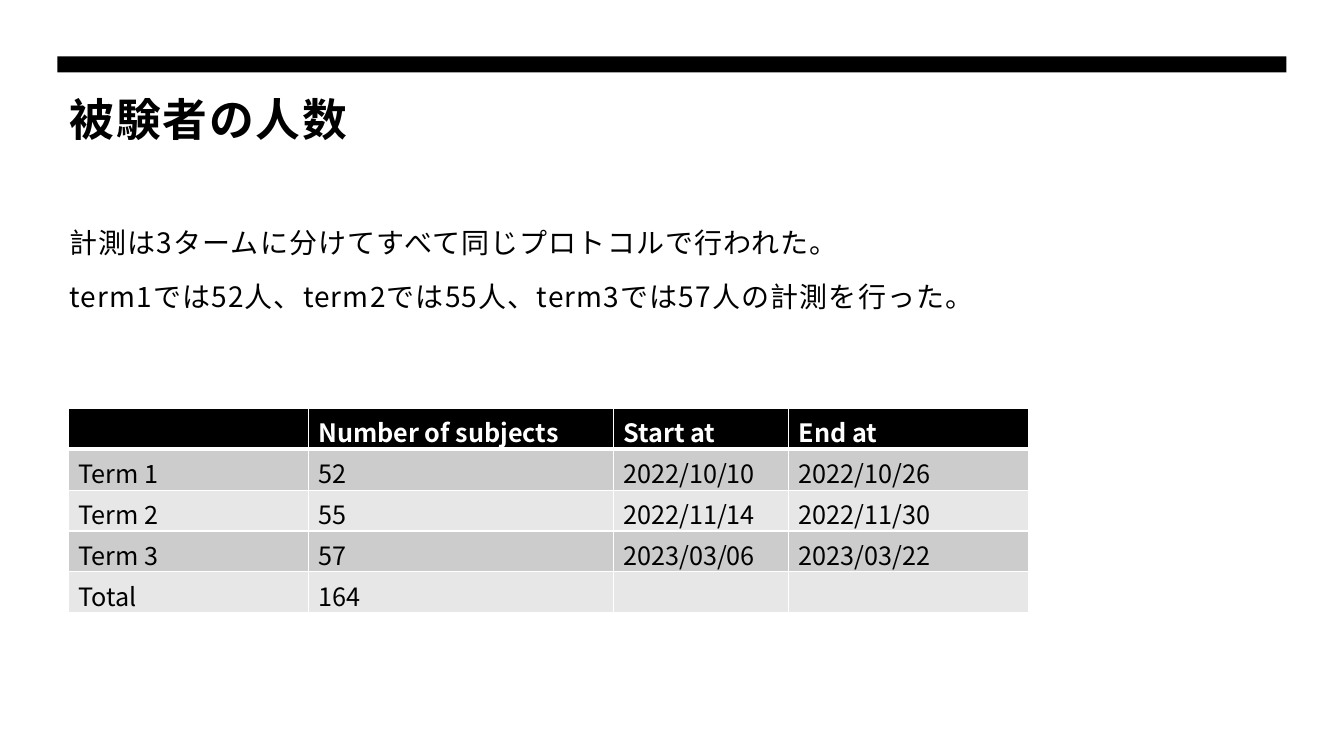
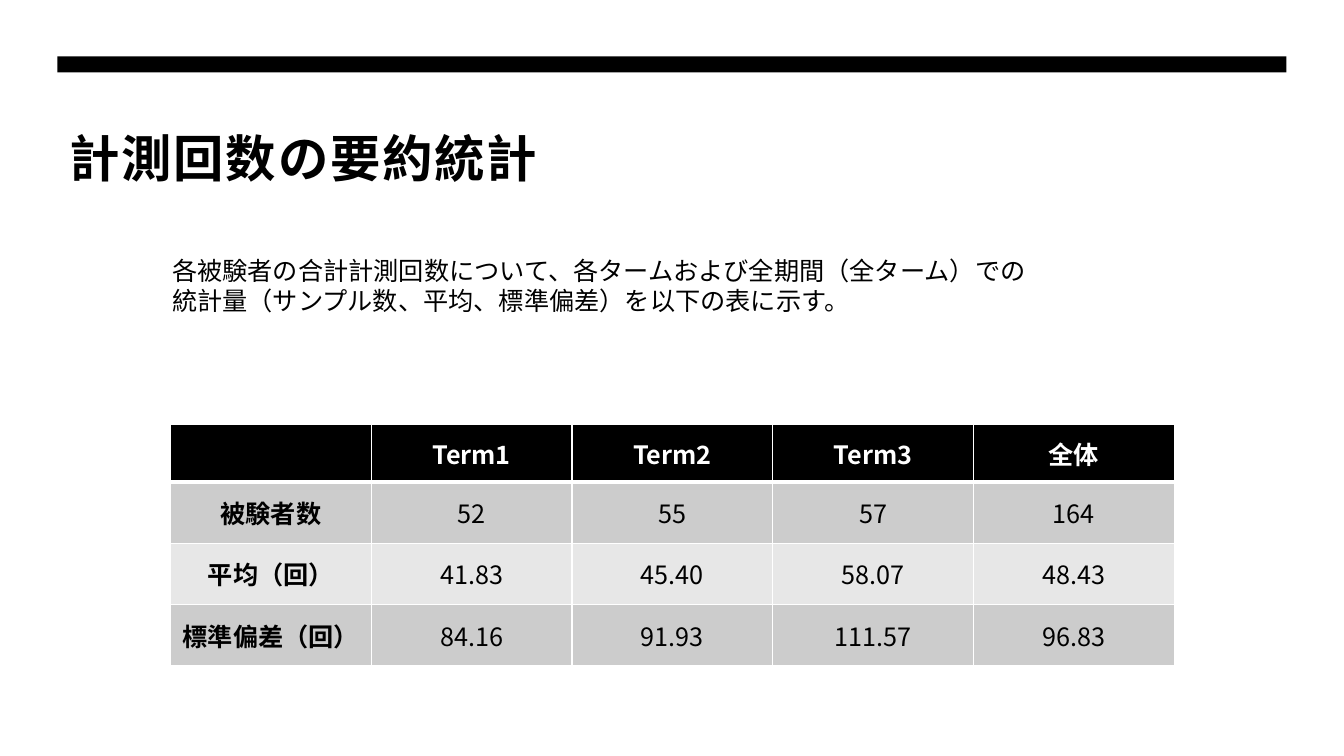
from lxml import etree
from pptx import Presentation
from pptx.dml.color import RGBColor
from pptx.enum.shapes import MSO_SHAPE
from pptx.enum.text import MSO_ANCHOR, PP_ALIGN
from pptx.oxml.ns import qn
from pptx.util import Pt

RECTANGLE = MSO_SHAPE.RECTANGLE
TOP, MIDDLE, BOTTOM = MSO_ANCHOR.TOP, MSO_ANCHOR.MIDDLE, MSO_ANCHOR.BOTTOM
LEFT, CENTER = PP_ALIGN.LEFT, PP_ALIGN.CENTER

FONT = "Noto Sans CJK JP"
BLACK, WHITE = "000000", "FFFFFF"
BANDS = "CCCCCC", "E7E7E7"
BAR_BOX = (41, 40.3, 878, 11.5)
PLACEHOLDER_INSETS = (8.6, 8.6, 8.6, 7.2)
PLAIN_INSETS = (7.2, 3.6, 7.2, 3.6)


def rgb(color):
    return RGBColor.from_string(color)


def pts(values):
    return [Pt(v) for v in values]


def format_runs(p, size, color=BLACK, bold=False, tracking=0):
    """Style every run, with tracking in points between letters."""
    for r in p.runs:
        r.font.size = Pt(size)
        r.font.bold = bold
        r.font.color.rgb = rgb(color)
        r.font.name = FONT
        rPr = r.font._element
        etree.SubElement(rPr, qn("a:ea"), typeface=FONT)
        if tracking:
            rPr.set("spc", str(round(tracking * 100)))


def add_text(slide, box, lines, size, bold=False, tracking=0, anchor=TOP,
             insets=PLACEHOLDER_INSETS, line_spacing=None, space_before=0):
    tf = slide.shapes.add_textbox(*pts(box)).text_frame
    tf.word_wrap = True
    tf.vertical_anchor = anchor
    (tf.margin_left, tf.margin_top,
     tf.margin_right, tf.margin_bottom) = pts(insets)
    for i, line in enumerate(lines):
        p = tf.add_paragraph() if i else tf.paragraphs[0]
        p.text = line
        p.space_before = Pt(space_before)
        if line_spacing:
            p.line_spacing = line_spacing
        format_runs(p, size, bold=bold, tracking=tracking)


def set_borders(cell, top, bottom):
    """Give the cell white borders; the sides are always 1 pt."""
    tcPr = cell._tc.get_or_add_tcPr()
    for side, width in (("L", 1), ("R", 1), ("T", top), ("B", bottom)):
        ln = etree.SubElement(tcPr, qn(f"a:ln{side}"), w=str(Pt(width)))
        fill = etree.SubElement(ln, qn("a:solidFill"))
        etree.SubElement(fill, qn("a:srgbClr"), val=WHITE)


def add_table(slide, left, top, widths, heights, rows,
              align=LEFT, anchor=TOP, bold_labels=False):
    """Place a table with a black header row and grey bands."""
    box = (left, top, sum(widths), sum(heights))
    table = slide.shapes.add_table(len(heights), len(widths), *pts(box)).table
    for column, width in zip(table.columns, widths):
        column.width = Pt(width)
    for i, (row, height, texts) in enumerate(zip(table.rows, heights, rows)):
        row.height = Pt(height)
        header = i == 0
        for j, (cell, text) in enumerate(zip(row.cells, texts)):
            set_borders(cell, top=3 if i == 1 else 1, bottom=3 if header else 1)
            cell.fill.solid()
            cell.fill.fore_color.rgb = rgb(BLACK if header else BANDS[(i - 1) % 2])
            cell.vertical_anchor = anchor
            p = cell.text_frame.paragraphs[0]
            p.text = text
            p.alignment = align
            format_runs(p, 18, WHITE if header else BLACK,
                        bold=header or (bold_labels and j == 0))


def add_slide(prs, title, title_box, title_size, anchor=TOP):
    """Start a slide with the black bar and the bold title."""
    slide = prs.slides.add_slide(prs.slide_layouts[6])
    bar = slide.shapes.add_shape(RECTANGLE, *pts(BAR_BOX))
    bar.shadow.inherit = False
    bar.fill.solid()
    bar.fill.fore_color.rgb = rgb(BLACK)
    bar.line.fill.background()
    add_text(slide, title_box, [title], title_size, bold=True, tracking=1.3,
             anchor=anchor, line_spacing=1.13)
    return slide


def add_subjects_slide(prs):
    slide = add_slide(prs, "被験者の人数", (41, 51.8, 878, 50.4), 32)
    lines = ["計測は3タームに分けてすべて同じプロトコルで行われた。",
             "term1では52人、term2では55人、term3では57人の計測を行った。"]
    add_text(slide, (41, 147.6, 919, 296.6), lines, 20, tracking=0.8,
             line_spacing=1.2, space_before=10)
    rows = [["", "Number of subjects", "Start at", "End at"],
            ["Term 1", "52", "2022/10/10", "2022/10/26"],
            ["Term 2", "55", "2022/11/14", "2022/11/30"],
            ["Term 3", "57", "2023/03/06", "2023/03/22"],
            ["Total", "164", "", ""]]
    add_table(slide, 48.9, 291.7, [171.2, 218, 125.2, 171.2], [29.2] * 5, rows)


def add_statistics_slide(prs):
    slide = add_slide(prs, "計測回数の要約統計", (41, 77, 364.3, 64.1), 36, BOTTOM)
    rows = [["", "Term1", "Term2", "Term3", "全体"],
            ["被験者数", "52", "55", "57", "164"],
            ["平均（回）", "41.83", "45.40", "58.07", "48.43"],
            ["標準偏差（回）", "84.16", "91.93", "111.57", "96.83"]]
    add_table(slide, 121.8, 303.2, [143.4] * 5, [41] + [43.8] * 3, rows,
              align=CENTER, anchor=MIDDLE, bold_labels=True)
    text = ("各被験者の合計計測回数について、各タームおよび全期間（全ターム）での\v"
            "統計量（サンプル数、平均、標準偏差）を以下の表に示す。")
    add_text(slide, (115.9, 178.6, 722.2, 51), [text], 18, insets=PLAIN_INSETS)


def main():
    prs = Presentation()
    prs.slide_width, prs.slide_height = Pt(960), Pt(540)
    add_subjects_slide(prs)
    add_statistics_slide(prs)
    prs.save("out.pptx")


if __name__ == "__main__":
    main()
